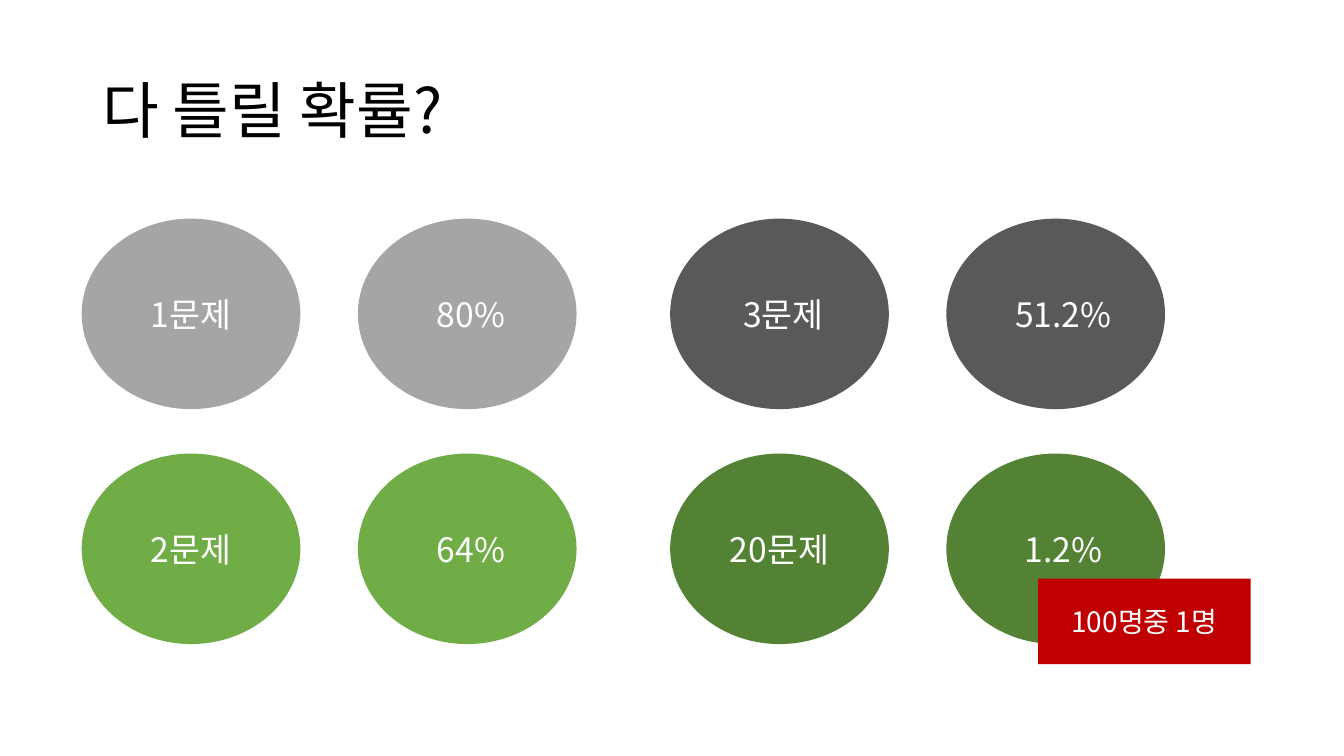
from lxml import etree
from pptx import Presentation
from pptx.dml.color import RGBColor
from pptx.enum.shapes import MSO_SHAPE
from pptx.enum.text import MSO_ANCHOR, MSO_AUTO_SIZE, PP_ALIGN
from pptx.oxml.ns import qn
from pptx.util import Cm, Pt

OVAL, RECTANGLE = MSO_SHAPE.OVAL, MSO_SHAPE.RECTANGLE
LEFT, CENTER = PP_ALIGN.LEFT, PP_ALIGN.CENTER
MIDDLE = MSO_ANCHOR.MIDDLE
NO_AUTOFIT = MSO_AUTO_SIZE.NONE

BLACK = RGBColor(0x00, 0x00, 0x00)
WHITE = RGBColor(0xFF, 0xFF, 0xFF)
LIGHT_GRAY = RGBColor(0xA5, 0xA5, 0xA5)
DARK_GRAY = RGBColor(0x59, 0x59, 0x59)
LIGHT_GREEN = RGBColor(0x70, 0xAD, 0x47)
DARK_GREEN = RGBColor(0x54, 0x82, 0x35)
RED = RGBColor(0xC0, 0x00, 0x00)

OVAL_WIDTH, OVAL_HEIGHT = 5.51, 4.8
GRID_LEFT, GRID_TOP = 2.06, 5.51
PAIR_STEP, ANSWER_STEP, ROW_STEP = 14.83, 6.96, 5.92
INSET, NUDGE = 0.25, 0.19

# Rows of pairs: colour, then (label, nudge count) for question count and probability
ODDS = [
    [(LIGHT_GRAY, [("1문제", 0), ("80%", 1)]),
     (DARK_GRAY, [("3문제", 1), ("51.2%", 2)])],
    [(LIGHT_GREEN, [("2문제", 0), ("64%", 1)]),
     (DARK_GREEN, [("20문제", 0), ("1.2%", 2)])],
]


class SlideBuilder:
    font_name = "Noto Sans CJK KR"

    def __init__(self, deck):
        self.page = deck.slides.add_slide(deck.slide_layouts[5])

    def set_text(self, box, text, size, color, align, inset=INSET):
        frame = box.text_frame
        frame_format = {"word_wrap": True, "auto_size": NO_AUTOFIT,
                        "vertical_anchor": MIDDLE, "margin_left": Cm(inset)}
        for name, value in frame_format.items():
            setattr(frame, name, value)
        para = frame.paragraphs[0]
        para.alignment = align
        span = para.add_run()
        span.text = text
        for name, value in {"name": self.font_name, "size": Pt(size)}.items():
            setattr(span.font, name, value)
        span.font.color.rgb = color
        east_asian = etree.SubElement(span.font._element, qn("a:ea"))
        east_asian.set("typeface", self.font_name)
        return para

    def title(self, text, left, top, width, height):
        box = self.page.shapes.title
        place = {"left": left, "top": top, "width": width, "height": height}
        for name, value in place.items():
            setattr(box, name, Cm(value))
        self.set_text(box, text, 44, BLACK, LEFT).line_spacing = 0.9

    def label(self, kind, text, left, top, width, height, fill, size, inset=INSET):
        """Add a filled shape with centred white text."""
        box = self.page.shapes.add_shape(
            kind, Cm(left), Cm(top), Cm(width), Cm(height))
        box.shadow.inherit = False
        box.fill.solid()
        box.fill.fore_color.rgb = fill
        box.line.fill.background()
        self.set_text(box, text, size, WHITE, CENTER, inset)


def main():
    deck = Presentation()
    deck.slide_width, deck.slide_height = Cm(33.87), Cm(19.05)
    builder = SlideBuilder(deck)
    builder.title("다 틀릴 확률?", 2.33, 1.02, 29.21, 3.68)
    for row, pairs in enumerate(ODDS):
        for pair, (color, labels) in enumerate(pairs):
            for column, (text, nudges) in enumerate(labels):
                builder.label(
                    OVAL, text,
                    GRID_LEFT + pair * PAIR_STEP + column * ANSWER_STEP,
                    GRID_TOP + row * ROW_STEP,
                    OVAL_WIDTH, OVAL_HEIGHT, color, 24, INSET + nudges * NUDGE)
    builder.label(RECTANGLE, "100명중 1명", 26.16, 14.58, 5.36, 2.16, RED, 20)
    deck.save("out.pptx")


if __name__ == "__main__":
    main()
